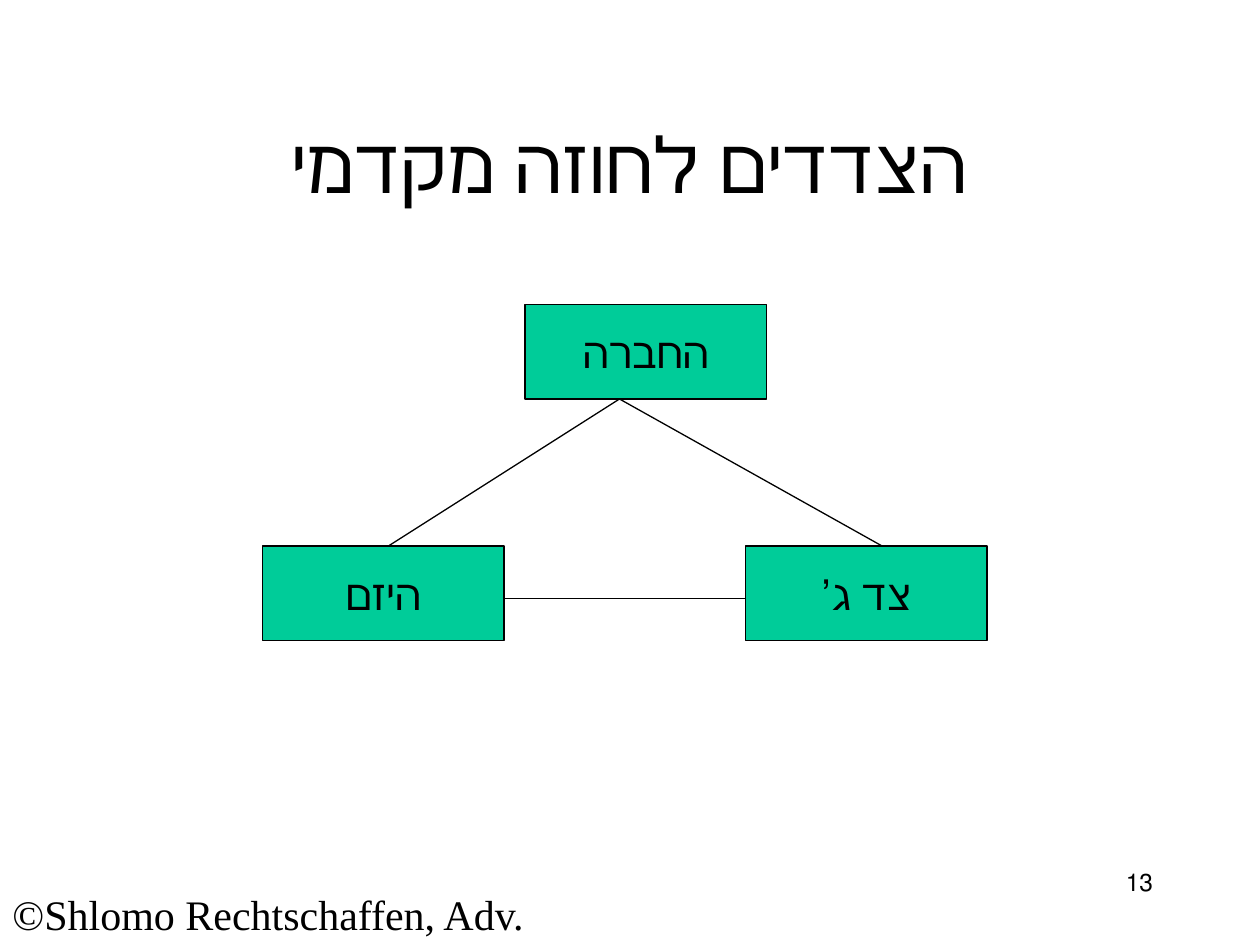
from typing import NamedTuple

from lxml import etree
from pptx import Presentation
from pptx.dml.color import RGBColor
from pptx.enum.shapes import MSO_CONNECTOR, MSO_SHAPE
from pptx.enum.text import MSO_ANCHOR, PP_ALIGN
from pptx.oxml.ns import qn
from pptx.util import Pt

EMU_PER_PX = 7620
BLANK_LAYOUT = 6
FONT_NAME = "Times New Roman"
BLACK = RGBColor(0x00, 0x00, 0x00)
GREEN = RGBColor(0x00, 0xCC, 0x99)
RECTANGLE = MSO_SHAPE.RECTANGLE
STRAIGHT = MSO_CONNECTOR.STRAIGHT
TOP, MIDDLE = MSO_ANCHOR.TOP, MSO_ANCHOR.MIDDLE
LEFT, CENTER, RIGHT = PP_ALIGN.LEFT, PP_ALIGN.CENTER, PP_ALIGN.RIGHT
LINE_WIDTH = Pt(0.75)
PARTY_WIDTH, PARTY_HEIGHT = 230, 90


class Label(NamedTuple):
    text: str
    left: int
    top: int
    width: int
    height: int
    size: int
    align: PP_ALIGN
    anchor: MSO_ANCHOR
    right_to_left: bool


class Party(NamedTuple):
    name: str
    left: int
    top: int


class Link(NamedTuple):
    start_x: int
    start_y: int
    end_x: int
    end_y: int


LABELS = [
    Label("הצדדים לחוזה מקדמי", 90, 80, 1020, 150, 44, CENTER, MIDDLE, True),
    Label("©Shlomo Rechtschaffen, Adv.", 0, 840, 680, 60, 24, LEFT, TOP, False),
    Label("13", 860, 820, 250, 60, 14, RIGHT, TOP, True),
]
PARTIES = [
    Party("החברה", 500, 290),
    Party("היזם", 250, 520),
    Party("צד ג’", 710, 520),
]
LINKS = [
    Link(480, 570, 710, 570),
    Link(370, 520, 590, 380),
    Link(590, 380, 840, 520),
]


def px(*lengths: int) -> list[int]:
    return [length * EMU_PER_PX for length in lengths]


def write_text(shape, text: str, size: int, align: PP_ALIGN,
               anchor: MSO_ANCHOR, right_to_left: bool) -> None:
    text_frame = shape.text_frame
    text_frame.text = text
    text_frame.vertical_anchor = anchor
    paragraph = text_frame.paragraphs[0]
    paragraph.alignment = align
    if right_to_left:
        paragraph._p.get_or_add_pPr().set("rtl", "1")
    font = paragraph.runs[0].font
    font.name = FONT_NAME
    font.size = Pt(size)
    font.color.rgb = BLACK


def draw_label(slide, label: Label) -> None:
    shape = slide.shapes.add_textbox(
        *px(label.left, label.top, label.width, label.height))
    shape.text_frame.word_wrap = True
    write_text(shape, label.text, label.size, label.align,
               label.anchor, label.right_to_left)


def draw_party(slide, party: Party) -> None:
    shape = slide.shapes.add_shape(
        RECTANGLE, *px(party.left, party.top, PARTY_WIDTH, PARTY_HEIGHT))
    shape.shadow.inherit = False
    shape.fill.solid()
    shape.fill.fore_color.rgb = GREEN
    shape.line.color.rgb = BLACK
    shape.line.width = LINE_WIDTH
    shape.text_frame.word_wrap = False
    write_text(shape, party.name, 24, CENTER, MIDDLE, True)


def draw_link(slide, link: Link) -> None:
    connector = slide.shapes.add_connector(STRAIGHT, *px(*link))
    connector.line.color.rgb = BLACK
    connector.line.width = LINE_WIDTH
    etree.SubElement(connector._element.spPr, qn("a:effectLst"))


def main() -> None:
    presentation = Presentation()
    presentation.slide_width, presentation.slide_height = px(1200, 900)
    slide = presentation.slides.add_slide(
        presentation.slide_layouts[BLANK_LAYOUT])
    title, *footers = LABELS
    draw_label(slide, title)
    for party in PARTIES:
        draw_party(slide, party)
    for link in LINKS:
        draw_link(slide, link)
    for footer in footers:
        draw_label(slide, footer)
    presentation.save("out.pptx")


if __name__ == "__main__":
    main()
